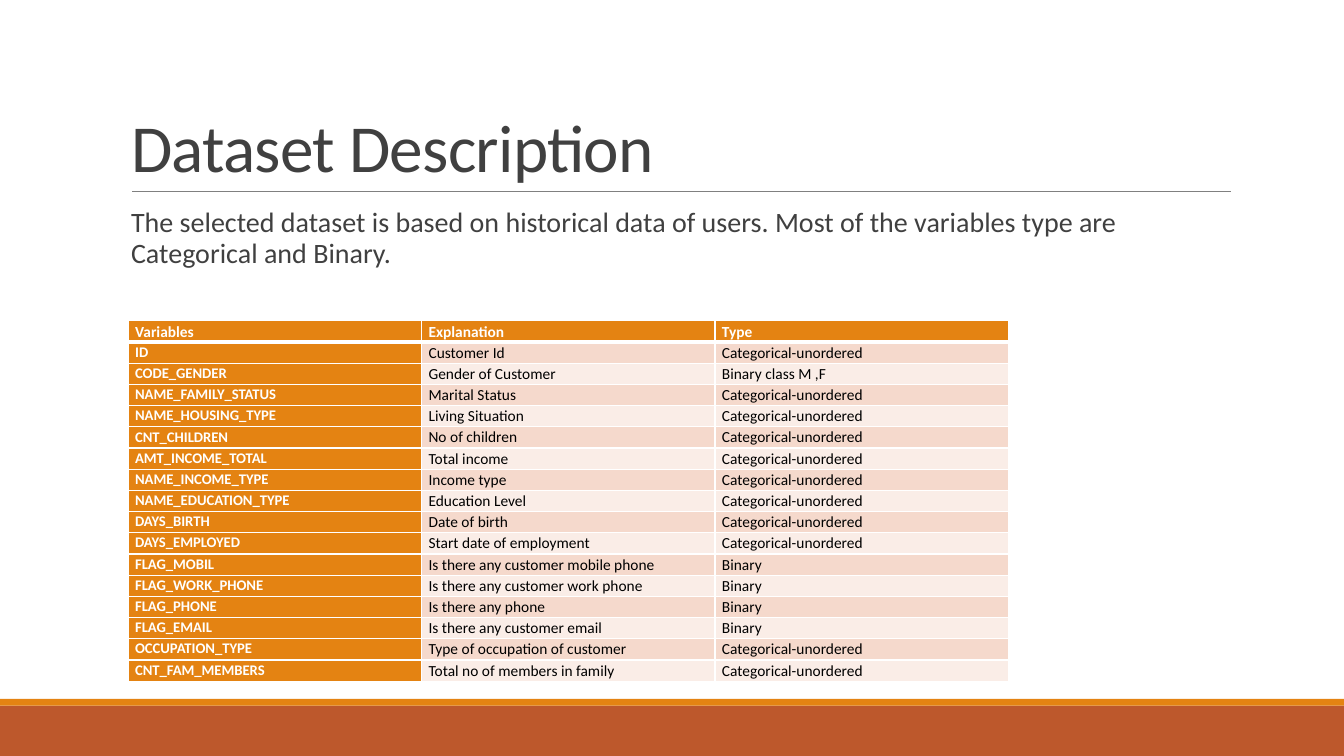
from lxml import etree
from pptx import Presentation, util as u
from pptx.dml.color import RGBColor
from pptx.enum import shapes, text
from pptx.oxml import ns

ORANGE, RUST, WHITE, DARK = "E48312", "BD582C", "FFFFFF", "404040"
BANDS = ("F5D9CC", "FAEDE7")
UNORDERED, BINARY = "Categorical-unordered", "Binary"
VARIABLES = [
    ("Variables", "Explanation", "Type"),
    ("ID", "Customer Id", UNORDERED),
    ("CODE_GENDER", "Gender of Customer", "Binary class M ,F"),
    ("NAME_FAMILY_STATUS", "Marital Status", UNORDERED),
    ("NAME_HOUSING_TYPE", "Living Situation", UNORDERED),
    ("CNT_CHILDREN", "No of children", UNORDERED),
    ("AMT_INCOME_TOTAL", "Total income", UNORDERED),
    ("NAME_INCOME_TYPE", "Income type", UNORDERED),
    ("NAME_EDUCATION_TYPE", "Education Level", UNORDERED),
    ("DAYS_BIRTH", "Date of birth", UNORDERED),
    ("DAYS_EMPLOYED", "Start date of employment", UNORDERED),
    ("FLAG_MOBIL", "Is there any customer mobile phone", BINARY),
    ("FLAG_WORK_PHONE", "Is there any customer work phone", BINARY),
    ("FLAG_PHONE", "Is there any phone", BINARY),
    ("FLAG_EMAIL", "Is there any customer email", BINARY),
    ("OCCUPATION_TYPE", "Type of occupation of customer", UNORDERED),
    ("CNT_FAM_MEMBERS", "Total no of members in family", UNORDERED),
]


def rgb(value):
    return RGBColor.from_string(value)


def add_xml(parent, tag, **attrs):
    return etree.SubElement(parent, ns.qn(tag), attrs)


class Deck:
    """Slide builder on a grid of 160 columns by 90 rows."""

    font = "Calibri"

    def __init__(self):
        self.prs = Presentation()
        self.prs.slide_width, self.prs.slide_height = u.Inches(13.33), u.Inches(7.5)
        self.s = self.prs.slides.add_slide(self.prs.slide_layouts[1])

    def x(self, cols):
        return round(self.prs.slide_width * cols / 160)

    def y(self, rows):
        return round(self.prs.slide_height * rows / 90)

    def box(self, left, top, width, height):
        return self.x(left), self.y(top), self.x(width), self.y(height)

    def run(self, p, words, size, color, bold=False):
        r = p.add_run()
        r.text = words
        r.font.name, r.font.size, r.font.bold = self.font, u.Pt(size), bold
        r.font.color.rgb = rgb(color)
        return r

    def placeholder(self, index, box, words, size, spacing, anchor):
        sp = self.s.placeholders[index]
        sp.left, sp.top, sp.width, sp.height = self.box(*box)
        tf = sp.text_frame
        tf.word_wrap, tf.auto_size = True, text.MSO_AUTO_SIZE.NONE
        tf.vertical_anchor = anchor
        p = tf.paragraphs[0]
        p.alignment, p.line_spacing = text.PP_ALIGN.LEFT, spacing
        return tf, p, self.run(p, words, size, DARK)

    def title(self, box, words):
        _, _, r = self.placeholder(0, box, words, 48, 0.85, text.MSO_ANCHOR.BOTTOM)
        r.font._element.set("spc", "-50")

    def body(self, box, words):
        tf, p, _ = self.placeholder(1, box, words, 20, 0.9, text.MSO_ANCHOR.TOP)
        tf.margin_left = tf.margin_right = 0
        p.space_before, p.space_after = u.Pt(12), u.Pt(2)
        pPr = p._p.get_or_add_pPr()
        indent = u.Inches(0.1)
        pPr.set("marL", str(indent))
        pPr.set("indent", str(-indent))
        add_xml(add_xml(pPr, "a:buClr"), "a:srgbClr", val=ORANGE)
        add_xml(pPr, "a:buChar", char=" ")

    def band(self, box, color):
        sp = self.s.shapes.add_shape(shapes.MSO_SHAPE.RECTANGLE, *self.box(*box))
        sp.shadow.inherit = False
        sp.fill.solid()
        sp.fill.fore_color.rgb = rgb(color)
        sp.line.fill.background()

    def rule(self, left, right, row):
        line = self.s.shapes.add_connector(
            shapes.MSO_CONNECTOR.STRAIGHT, self.x(left), self.y(row), self.x(right), self.y(row))
        line.line.color.rgb, line.line.width = rgb("808080"), u.Pt(0.5)
        add_xml(line._element.spPr, "a:effectLst")

    def borders(self, cell, bottom):
        tcPr = cell._tc.get_or_add_tcPr()
        for i, (side, width) in enumerate(zip("LRTB", (1, 1, 1, bottom))):
            ln = add_xml(tcPr, f"a:ln{side}", w=str(u.Pt(width)))
            add_xml(add_xml(ln, "a:solidFill"), "a:srgbClr", val=WHITE)
            tcPr.insert(i, ln)

    def cell(self, cell, words, i, j):
        head = i == 0 or j == 0
        cell.margin_left = cell.margin_right = u.Inches(0.07)
        cell.margin_top = cell.margin_bottom = 0
        cell.fill.solid()
        cell.fill.fore_color.rgb = rgb(ORANGE if head else BANDS[(i - 1) % 2])
        p = cell.text_frame.paragraphs[0]
        p.line_spacing = 1.07
        size = 10.5 if i and j == 0 else 11
        self.run(p, words, size, WHITE if head else "000000", head)
        self.borders(cell, 1 if i else 3)

    def table(self, box, data):
        tbl = self.s.shapes.add_table(len(data), len(data[0]), *self.box(*box)).table
        tbl.first_col = True
        for i, row in enumerate(data):
            for j, words in enumerate(row):
                self.cell(tbl.cell(i, j), words, i, j)


def main():
    deck = Deck()
    deck.band((0, 84, 160, 6), RUST)
    deck.band((0, 83.2, 160, 0.8), ORANGE)
    deck.rule(15.75, 146.5, 22.8)
    deck.title((14.4, 3.7, 132, 19.1), "Dataset Description")
    deck.body((14.4, 24.25, 132, 52.8),
              "The selected dataset is based on historical data of users. "
              "Most of the variables type are Categorical and Binary.")
    deck.table((15.25, 38.2, 104.8, 42.95), VARIABLES)
    deck.prs.save("out.pptx")


if __name__ == "__main__":
    main()
